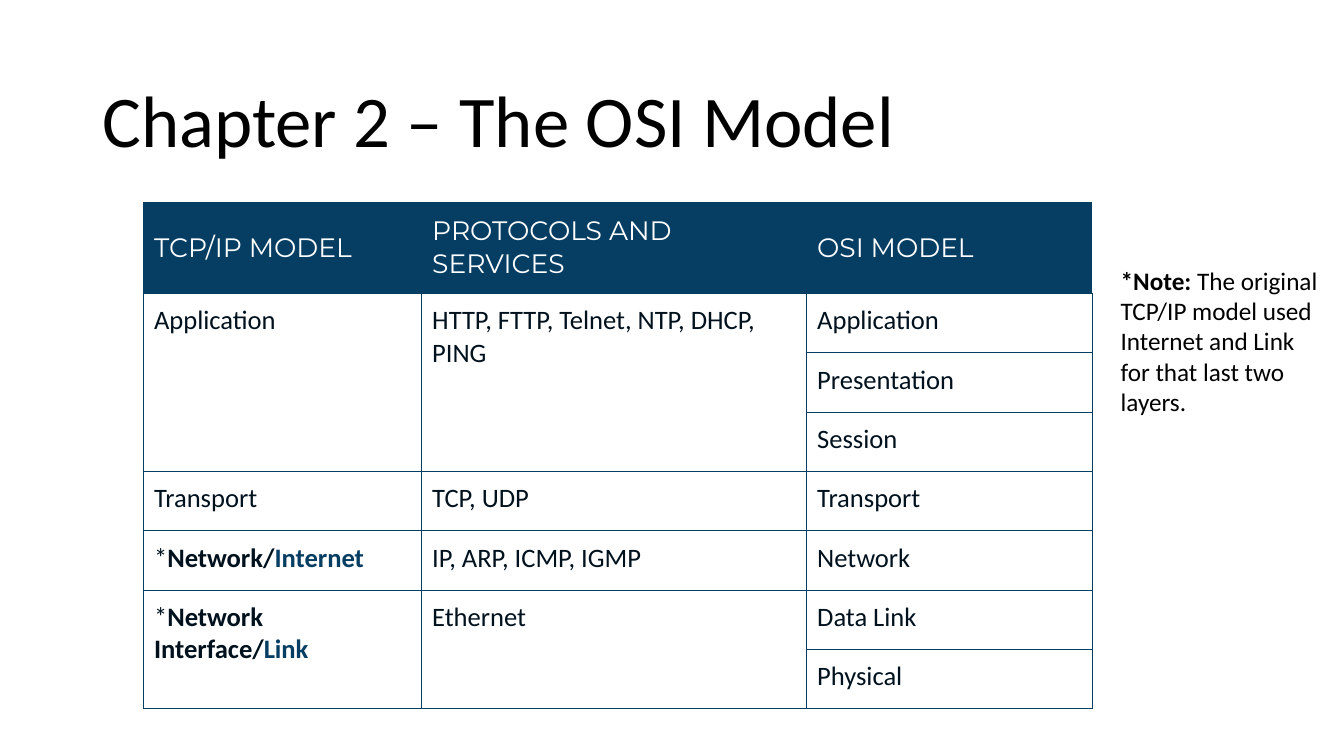
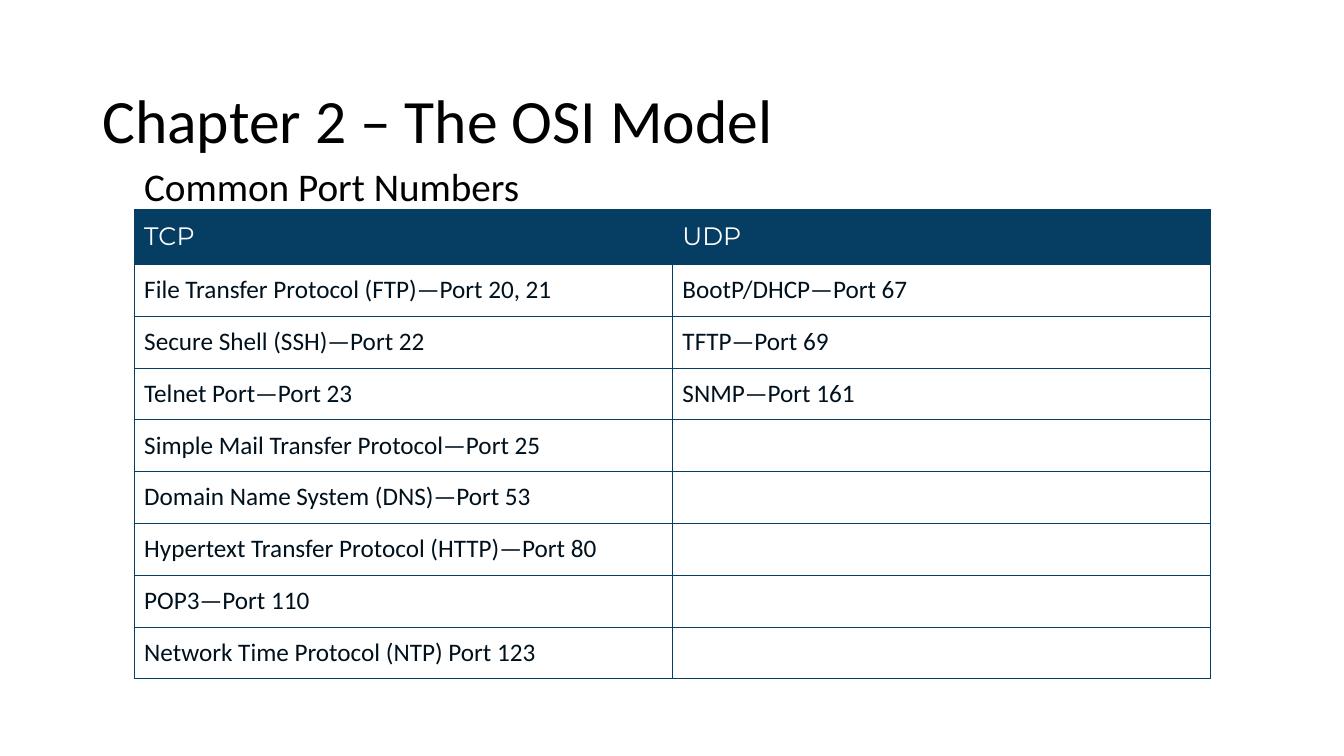
from pptx import Presentation
from pptx.dml.color import RGBColor
from pptx.enum.text import MSO_ANCHOR, MSO_AUTO_SIZE
from pptx.oxml.ns import qn
from pptx.util import Pt
from lxml import etree

TOP, MIDDLE = MSO_ANCHOR.TOP, MSO_ANCHOR.MIDDLE
GROW = MSO_AUTO_SIZE.SHAPE_TO_FIT_TEXT
COLORS = {"navy": "063D63", "ink": "00111E", "black": "000000", "white": "FFFFFF"}
BODY_FONT, HEADER_FONT = "Calibri", "Montserrat"
BORDER_WIDTH = 0.75
TITLE = "Chapter 2 – The OSI Model"

INTERNET = [("*", {}), ("Network/", {"bold": True}),
            ("Internet", {"bold": True, "color": "navy"})]
LINK = [("*", {}), ("Network Interface/", {"bold": True}),
        ("Link", {"bold": True, "color": "navy"})]
NOTE = [("*Note: ", {"bold": True}),
        ("The original TCP/IP model used Internet and Link for that last two layers.", {})]

MODEL_ROWS = [
    ["TCP/IP MODEL", "PROTOCOLS AND SERVICES", "OSI MODEL"],
    ["Application", "HTTP, FTTP, Telnet, NTP, DHCP, PING", "Application"],
    ["", "", "Presentation"],
    ["", "", "Session"],
    ["Transport", "TCP, UDP", "Transport"],
    [INTERNET, "IP, ARP, ICMP, IGMP", "Network"],
    [LINK, "Ethernet", "Data Link"],
    ["", "", "Physical"],
]
MODEL_SPANS = [(1, 3), (6, 7)]  # first and last row joined in the left two columns

PORT_ROWS = [
    ["TCP", "UDP"],
    ["File Transfer Protocol (FTP)—Port 20, 21", "BootP/DHCP—Port 67"],
    ["Secure Shell (SSH)—Port 22", "TFTP—Port 69"],
    ["Telnet Port—Port 23", "SNMP—Port 161"],
    ["Simple Mail Transfer Protocol—Port 25", ""],
    ["Domain Name System (DNS)—Port 53", ""],
    ["Hypertext Transfer Protocol (HTTP)—Port 80", ""],
    ["POP3—Port 110", ""],
    ["Network Time Protocol (NTP) Port 123", ""],
]


def rgb(name):
    return RGBColor.from_string(COLORS[name])


def write(frame, content, *, size, font=BODY_FONT, color="black", spacing=None):
    """Write a string, or (text, overrides) runs, into the first paragraph."""
    paragraph = frame.paragraphs[0]
    paragraph.font.size = Pt(size)
    if spacing:
        paragraph.line_spacing = spacing
    runs = [(content, {})] if isinstance(content, str) else content
    for text, changes in runs:
        if not text:
            continue
        run = paragraph.add_run()
        run.text = text
        run.font.size = Pt(size)
        run.font.name = font
        run.font.bold = changes.get("bold", False)
        run.font.color.rgb = rgb(changes.get("color", color))


def add_text(slide, box, content, *, anchor=TOP, grow=False, **text_format):
    frame = slide.shapes.add_textbox(*map(Pt, box)).text_frame
    frame.word_wrap = True
    frame.vertical_anchor = anchor
    if grow:
        frame.auto_size = GROW
    write(frame, content, **text_format)


def add_title(slide, size):
    add_text(slide, (66, 43.5, 828, 90), TITLE, anchor=MIDDLE, size=size, spacing=0.9)


def set_borders(cell, visible):
    """Draw the named sides (of L, R, T, B) and clear the others."""
    properties = cell._tc.get_or_add_tcPr()
    for side in "LRTB":
        line = etree.SubElement(properties, qn(f"a:ln{side}"), w=str(Pt(BORDER_WIDTH)))
        if side in visible:
            fill = etree.SubElement(line, qn("a:solidFill"))
            etree.SubElement(fill, qn("a:srgbClr"), val=COLORS["navy"])
        else:
            etree.SubElement(line, qn("a:noFill"))


def format_cell(cell, content, is_header, size, inset, header_inset):
    set_borders(cell, "B" if is_header else "LRTB")
    cell.fill.solid()
    cell.fill.fore_color.rgb = rgb("navy" if is_header else "white")
    cell.vertical_anchor = MIDDLE if is_header else TOP
    cell.margin_left = cell.margin_right = Pt(inset)
    cell.margin_top = cell.margin_bottom = Pt(header_inset if is_header else inset)
    write(cell.text_frame, content, size=size,
          font=HEADER_FONT if is_header else BODY_FONT,
          color="white" if is_header else "ink")


def add_grid(slide, left, top, rows, widths, header_height, row_height, **cell_format):
    heights = [header_height] + [row_height] * (len(rows) - 1)
    box = (left, top, sum(widths), sum(heights))
    table = slide.shapes.add_table(len(rows), len(widths), *map(Pt, box)).table
    table.first_row = table.horz_banding = False
    for column, width in zip(table.columns, widths):
        column.width = Pt(width)
    for r, (contents, height) in enumerate(zip(rows, heights)):
        table.rows[r].height = Pt(height)
        for c, content in enumerate(contents):
            format_cell(table.cell(r, c), content, r == 0, **cell_format)
    return table


def build_model_slide(slide):
    add_title(slide, 52)
    table = add_grid(slide, 102.2, 144, MODEL_ROWS, (198.7, 275, 204.5), 65.7, 42.4,
                     size=19, inset=7.9, header_inset=9.4)
    for first, last in MODEL_SPANS:
        for column in range(2):
            table.cell(first, column).merge(table.cell(last, column))
    add_text(slide, (793.4, 185.8, 159.1, 116.6), NOTE, grow=True, size=18)


def build_ports_slide(slide):
    add_title(slide, 44)
    add_grid(slide, 95.8, 149, PORT_ROWS, (384.5, 384.5), 40, 37,
             size=18, inset=7.2, header_inset=8.6)
    add_text(slide, (95.8, 112.3, 310.3, 41), "Common Port Numbers", grow=True, size=28)


def main():
    deck = Presentation()
    deck.slide_width, deck.slide_height = Pt(960), Pt(540)
    blank = deck.slide_layouts[6]
    for build in (build_model_slide, build_ports_slide):
        build(deck.slides.add_slide(blank))
    deck.save("out.pptx")


if __name__ == "__main__":
    main()
